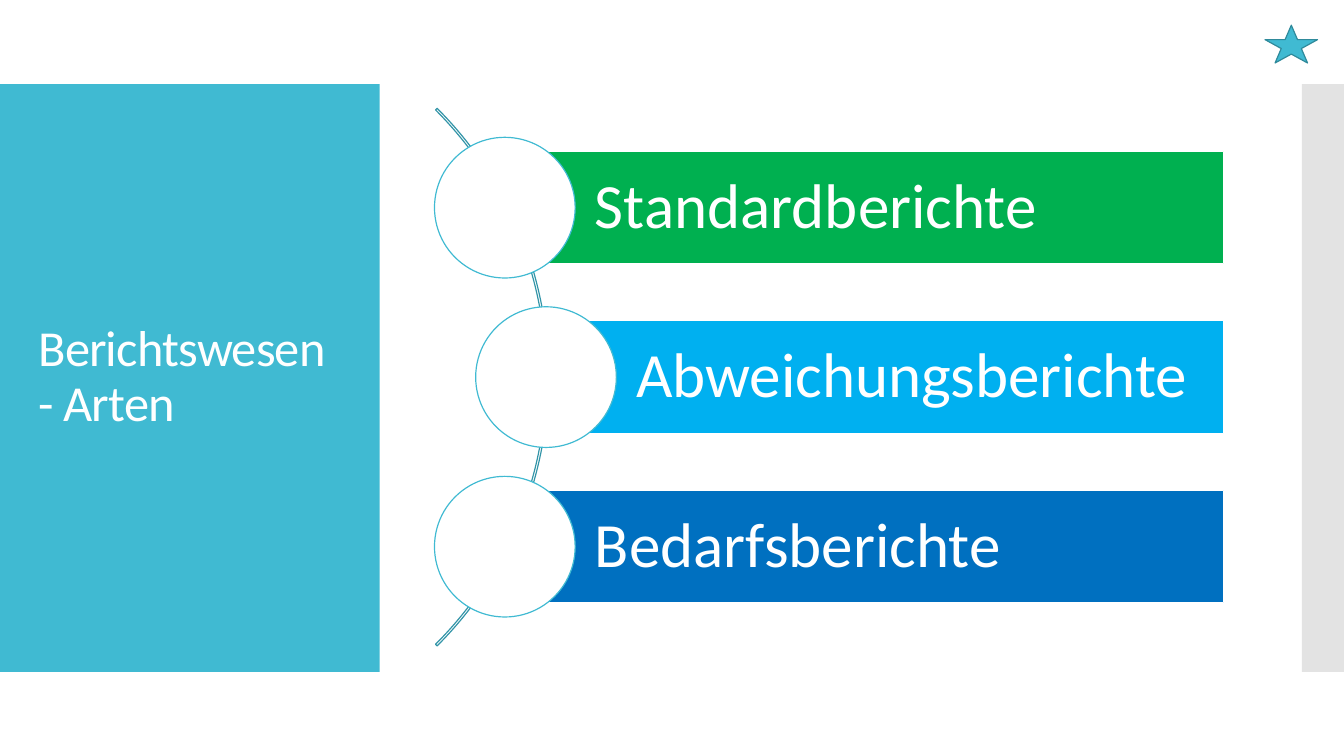
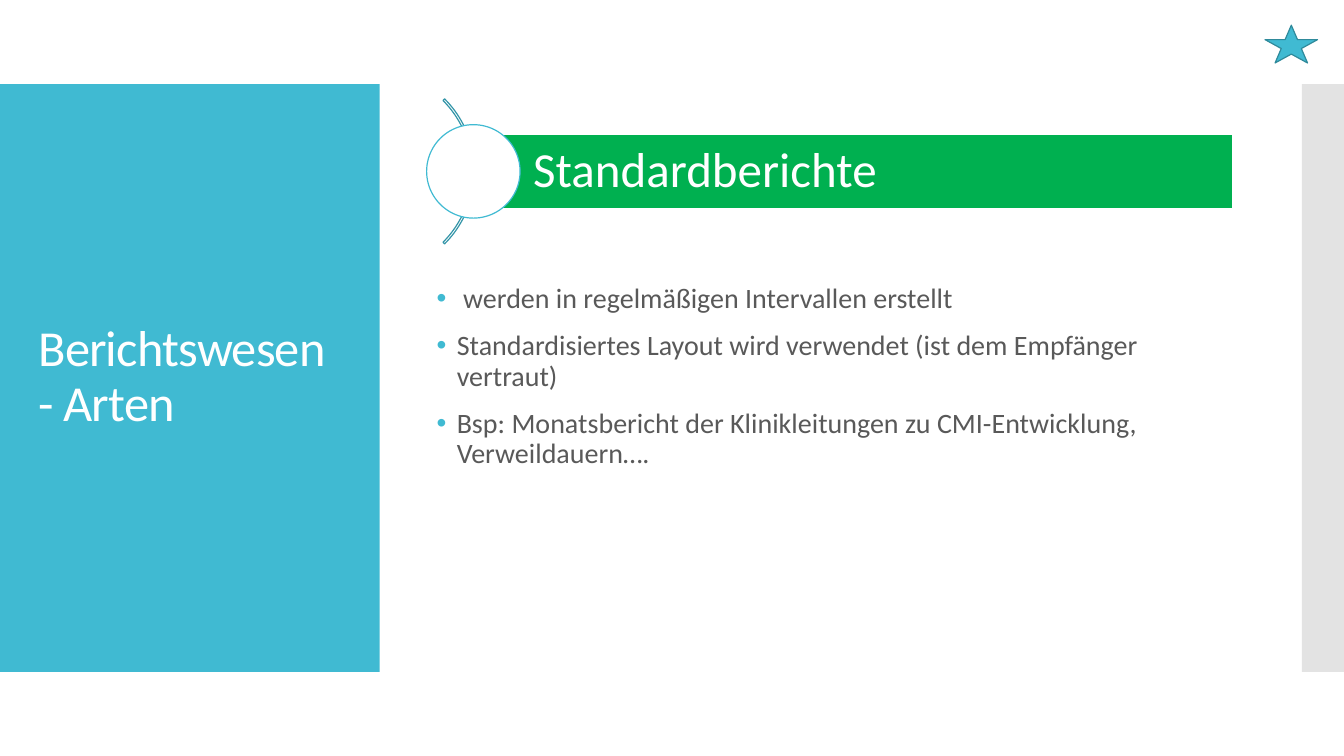
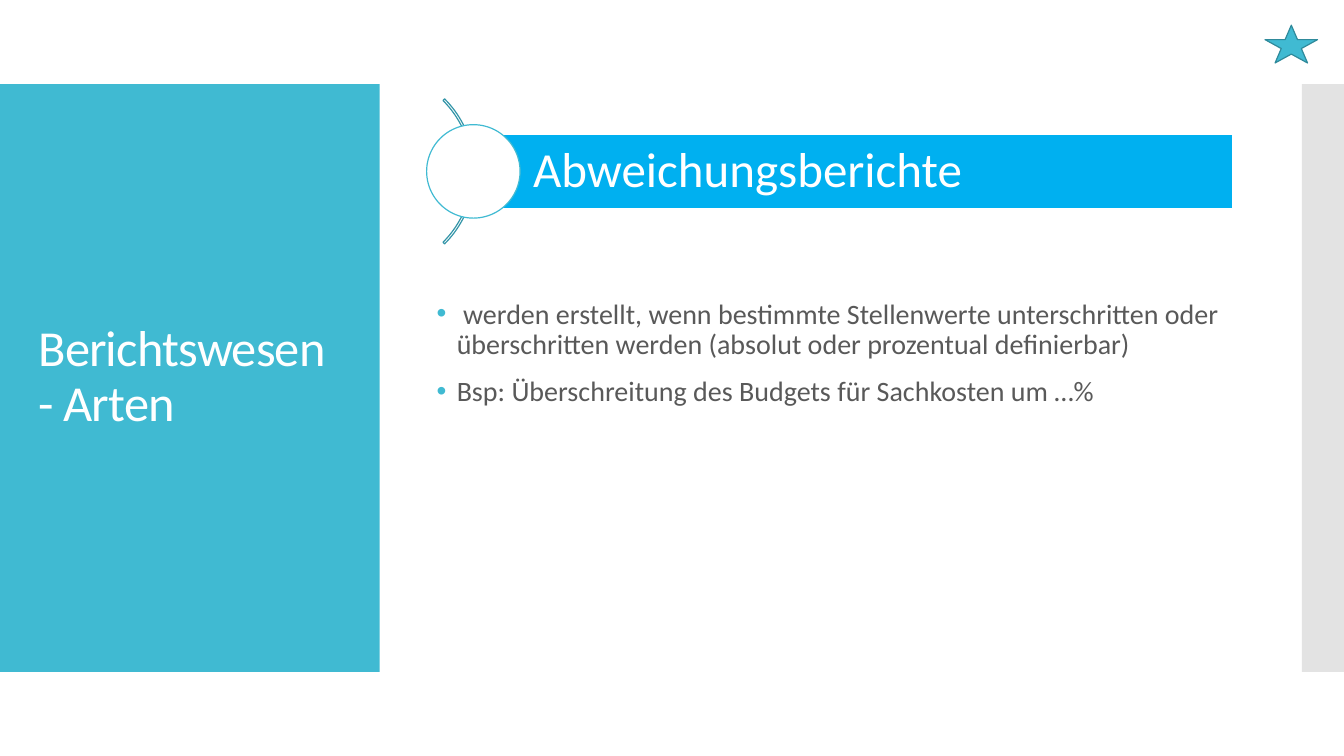
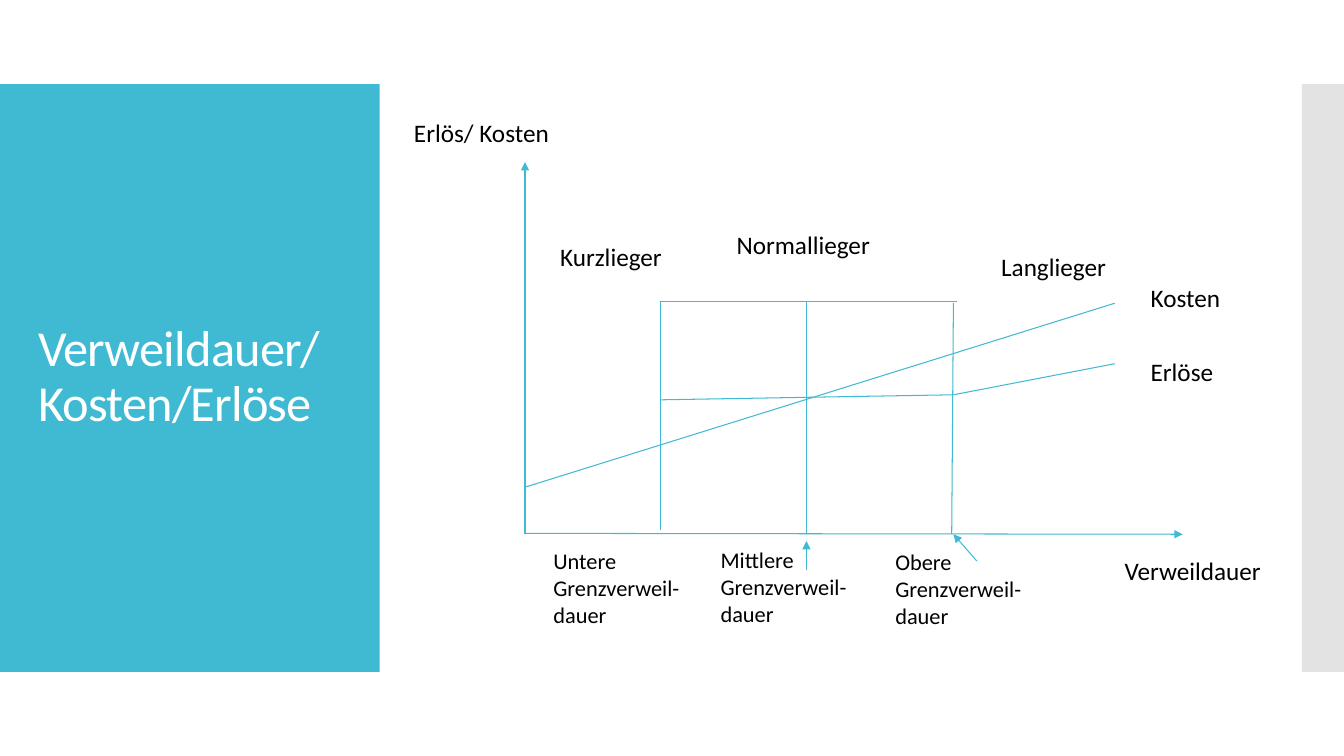
from dataclasses import dataclass
from lxml.etree import SubElement as Sub
from pptx import Presentation
from pptx.dml.color import RGBColor as RGB
from pptx.enum.shapes import MSO_CONNECTOR as Link, MSO_SHAPE as Kind
from pptx.enum.text import MSO_ANCHOR as Anchor
from pptx.oxml.ns import qn
from pptx.util import Inches, Pt


@dataclass(frozen=True)
class Theme:
    font: str = "Calibri"
    teal: str = "40BAD2"
    arc: str = "3395A8"
    edge: str = "2F8A9B"
    strip: str = "C8C8C8"
    white: str = "FFFFFF"
    black: str = "000000"
    grey: str = "595959"
    green: str = "00B050"
    sky: str = "00B0F0"
    blue: str = "0070C0"
    title: int = 36
    large: int = 45
    head: int = 35
    body: int = 20
    label: int = 18
    small: int = 16
    thin: float = 0.75
    rim: float = 0.85


class Deck:
    """Draws on a grid of 160 columns by 90 rows."""

    def __init__(self, theme):
        self.look = theme
        self.prs = Presentation()
        self.prs.slide_width = Inches(13.333)
        self.prs.slide_height = Inches(7.5)
        self.cell = self.prs.slide_height / 90
        self.page = None

    def grid(self, *cells):
        return [round(c * self.cell) for c in cells]

    # Shapes and lines
    def shape(self, kind, box, fill=None, line=None, alpha=None):
        item = self.page.shapes.add_shape(kind, *self.grid(*box))
        item.shadow.inherit = False
        if fill:
            item.fill.solid()
            item.fill.fore_color.rgb = RGB.from_string(fill)
        else:
            item.fill.background()
        if line:
            item.line.color.rgb = RGB.from_string(line)
            item.line.width = Pt(self.look.rim)
        else:
            item.line.fill.background()
        if alpha:
            tint = next(item.element.spPr.iter(qn("a:srgbClr")))
            Sub(tint, qn("a:alpha")).set("val", str(alpha * 1000))
        return item

    def line(self, start, end, arrow=False):
        item = self.page.shapes.add_connector(
            Link.STRAIGHT, *self.grid(*start, *end))
        item.line.color.rgb = RGB.from_string(self.look.teal)
        item.line.width = Pt(self.look.thin)
        if arrow:
            Sub(item.line._get_or_add_ln(), qn("a:tailEnd")).set("type", "triangle")
        Sub(item.element.spPr, qn("a:effectLst"))

    # Text
    def text(self, box, paras, size, color, mid=False, space=None,
             before=0, track=None, bullet=False, left=None):
        item = self.page.shapes.add_textbox(*self.grid(*box))
        frame = item.text_frame
        frame.word_wrap = True
        frame.vertical_anchor = Anchor.MIDDLE if mid else Anchor.TOP
        if left:
            frame.margin_left = self.grid(left)[0]
        for i, words in enumerate(paras):
            para = frame.add_paragraph() if i else frame.paragraphs[0]
            para.space_before = Pt(before)
            if space:
                para.line_spacing = space
            if bullet:
                self.bullet(para)
            run = para.add_run()
            run.text = words
            run.font.name = self.look.font
            run.font.size = Pt(size)
            run.font.color.rgb = RGB.from_string(color)
            if track:
                run._r.get_or_add_rPr().set("spc", str(track))

    def bullet(self, para):
        prop = para._p.get_or_add_pPr()
        prop.set("marL", str(Inches(0.2)))
        prop.set("indent", str(-Inches(0.2)))
        Sub(Sub(prop, qn("a:buClr")), qn("a:srgbClr")).set("val", self.look.teal)
        Sub(prop, qn("a:buFont")).set("typeface", "Arial")
        Sub(prop, qn("a:buChar")).set("char", "•")

    # Parts shared by the slides
    def slide(self, title, star=True):
        look = self.look
        self.page = self.prs.slides.add_slide(self.prs.slide_layouts[6])
        self.shape(Kind.RECTANGLE, (0, 10, 45.2, 70), look.teal)
        self.shape(Kind.RECTANGLE, (155, 10, 5, 70), look.strip, alpha=50)
        self.text((3.4, 14.75, 38.6, 60.4), [title], look.title, look.white,
                  mid=True, space=0.9, track=-60)
        if star:
            self.shape(Kind.STAR_5_POINT, (150.6, 3, 6.25, 4.5),
                       look.teal, look.edge)

    def arc(self, x, y, wide):
        item = self.shape(Kind.BLOCK_ARC,
                          (x - wide / 2, y - wide / 2, wide, wide),
                          line=self.look.arc)
        for i, value in enumerate((189, 27, 0.27 / wide)):
            item.adjustments[i] = value

    def node(self, x, y, high, right, words, size, fill):
        """A bar that starts at the middle of a disc."""
        look = self.look
        bar = (x, y - high / 2, right - x, high)
        disc = high * 1.25
        self.shape(Kind.RECTANGLE, bar, fill, look.white)
        self.text(bar, [words], size, look.white, mid=True, space=0.9,
                  left=high * 0.8)
        self.shape(Kind.OVAL, (x - disc / 2, y - disc / 2, disc, disc),
                   look.white, look.teal)

    def report(self, title, name, fill, points, high):
        """One kind of report with its points."""
        look = self.look
        self.slide(title)
        self.arc(44.3, 20.4, 24.4)
        self.node(56.35, 20.4, 8.9, 146.7, name, look.head, fill)
        self.text((50.8, 11.3, 96, high), points, look.body, look.grey,
                  mid=True, space=0.9, before=12, bullet=True)


look = Theme()
deck = Deck(look)
kinds = "Berichtswesen - Arten"

# Slide 1: three kinds of report
deck.slide(kinds)
deck.arc(20.05, 44.9, 90.5)
bars = (("Standardberichte", look.green, 60.1),
        ("Abweichungsberichte", look.sky, 65),
        ("Bedarfsberichte", look.blue, 60.1))
for row, (name, fill, x) in enumerate(bars):
    deck.node(x, 44.9 + (row - 1) * 20.18, 13.4, 145.7, name, look.large, fill)

# Slide 2: standard reports
deck.report(kinds, "Standardberichte", look.green, [
    " werden in regelmäßigen Intervallen erstellt",
    "Standardisiertes Layout wird verwendet (ist dem Empfänger vertraut)",
    "Bsp: Monatsbericht der Klinikleitungen zu CMI-Entwicklung, "
    "Verweildauern…."], 67.2)

# Slide 3: deviation reports
deck.report(kinds, "Abweichungsberichte", look.sky, [
    " werden erstellt, wenn bestimmte Stellenwerte unterschritten oder "
    "überschritten werden (absolut oder prozentual definierbar)",
    "Bsp: Überschreitung des Budgets für Sachkosten um …%"], 61.6)

# Slide 4: length of stay against cost and revenue
deck.slide("Verweildauer/Kosten/Erlöse", star=False)
zero, low, mean, high = 62.5, 78.6, 96, 113.5
top, base = 35.9, 63.6

# Axes and pointers
for start, end in (((zero, base), (zero, 19.3)),
                   ((zero, 63.5), (140.8, base)),
                   ((mean, 67.9), (mean, 64.4)),
                   ((116.3, 66.8), (high, base))):
    deck.line(start, end, arrow=True)

# Limits and curves
for start, end in (((low, top), (low, 63.1)),
                   ((mean, top), (mean, base)),
                   ((high, 36.1), (113.3, base)),
                   ((low, top), (113.9, top)),
                   ((zero, 58), (132.7, 36.1)),
                   ((low, 47.6), (high, 47)),
                   ((high, 47), (132.7, 43.3))):
    deck.line(start, end)

# Labels
for words, x, y in (("Erlös/ Kosten", 48.1, 13.4),
                    ("Kurzlieger", 65.5, 28.1),
                    ("Normallieger", 86.5, 26.75),
                    ("Langlieger", 118, 29.3),
                    ("Kosten", 135.8, 33),
                    ("Erlöse", 135.8, 41.8),
                    ("Verweildauer", 132.7, 65.5)):
    deck.text((x, y, 21, 4.85), [words], look.label, look.black)
for paras, x, y in ((["Untere Grenzverweil-", "dauer"], 64.7, 64.6),
                    (["Mittlere Grenzverweil-dauer"], 84.6, 64.4),
                    (["Obere Grenzverweil-dauer"], 105.4, 64.7)):
    deck.text((x, y, 20.8, 10.9), paras, look.small, look.black)

deck.prs.save("out.pptx")
